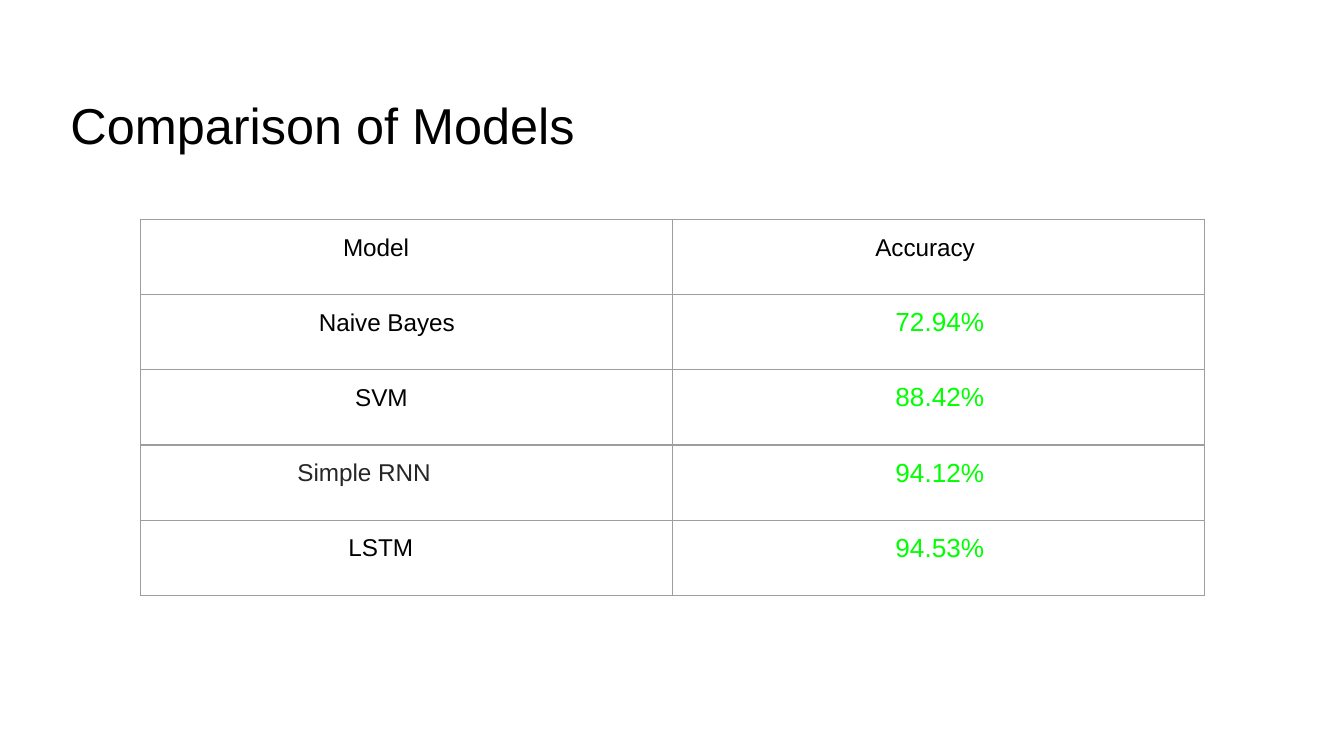
from dataclasses import dataclass

from lxml.etree import SubElement
from pptx import Presentation
from pptx.dml.color import RGBColor
from pptx.enum.text import MSO_ANCHOR, MSO_AUTO_SIZE, PP_ALIGN
from pptx.oxml.ns import qn
from pptx.util import Inches, Pt


@dataclass(frozen=True)
class Theme:
    font: str = "Arial"
    background: str = "FFFFFF"
    ink: str = "000000"
    soft_ink: str = "262626"
    score: str = "00FF00"
    border: str = "9E9E9E"
    title_size: int = 27
    label_size: int = 13
    score_size: int = 14
    border_width: float = 0.75


THEME = Theme()
WIDTH = Inches(10)
HEIGHT = WIDTH * 9 // 16
GRID_COLUMNS, GRID_ROWS = 100, 56.25
INSET = Inches(0.1)
# A smaller label sits slightly lower, level with the scores beside it.
LABEL_TOP = Inches(0.11)
HEADER_INDENT = 1.41
SCORE_INDENT = 1.56

# Model, its indent in inches, its colour, accuracy
RESULTS = [
    ("Naive Bayes", 1.23, THEME.ink, "72.94%"),
    ("SVM", 1.5, THEME.ink, "88.42%"),
    ("Simple RNN", 1.07, THEME.soft_ink, "94.12%"),
    ("LSTM", 1.45, THEME.ink, "94.53%"),
]


def grid_box(column, row, columns, rows):
    """Turn grid units into left, top, width and height."""
    across, down = WIDTH / GRID_COLUMNS, HEIGHT / GRID_ROWS
    return (round(column * across), round(row * down),
            round(columns * across), round(rows * down))


def add_run(paragraph, text, size, color):
    run = paragraph.add_run()
    run.text = text
    run.font.name = THEME.font
    run.font.size = Pt(size)
    run.font.bold = False
    run.font.color.rgb = RGBColor.from_string(color)


def set_borders(cell):
    properties = cell._tc.get_or_add_tcPr()
    for position, side in enumerate(("lnL", "lnR", "lnT", "lnB")):
        line = properties.makeelement(
            qn(f"a:{side}"), {"w": str(Pt(THEME.border_width))})
        fill = SubElement(line, qn("a:solidFill"))
        SubElement(fill, qn("a:srgbClr"), val=THEME.border)
        properties.insert(position, line)


def fill_cell(cell, text, indent, size, color):
    cell.margin_left = cell.margin_right = cell.margin_bottom = INSET
    cell.margin_top = LABEL_TOP if size == THEME.label_size else INSET
    cell.vertical_anchor = MSO_ANCHOR.TOP
    cell.fill.background()
    set_borders(cell)
    paragraph = cell.text_frame.paragraphs[0]
    paragraph.alignment = PP_ALIGN.LEFT
    properties = paragraph._p.get_or_add_pPr()
    properties.set("marL", str(Inches(indent)))
    properties.set("indent", "0")
    add_run(paragraph, text, size, color)


def place_title(slide, box, text):
    title = slide.shapes.title
    title.left, title.top, title.width, title.height = box
    frame = title.text_frame
    frame.auto_size = MSO_AUTO_SIZE.NONE
    frame.word_wrap = True
    frame.vertical_anchor = MSO_ANCHOR.BOTTOM
    frame.margin_left = frame.margin_right = INSET
    frame.margin_top = frame.margin_bottom = INSET
    paragraph = frame.paragraphs[0]
    paragraph.alignment = PP_ALIGN.LEFT
    add_run(paragraph, text, THEME.title_size, THEME.ink)


def place_accuracy_table(slide, box):
    table = slide.shapes.add_table(len(RESULTS) + 1, 2, *box).table
    table.first_row = table.horz_banding = False
    for column, heading in enumerate(("Model", "Accuracy")):
        fill_cell(table.cell(0, column), heading, HEADER_INDENT,
                  THEME.label_size, THEME.ink)
    for row, (model, indent, color, accuracy) in enumerate(RESULTS, start=1):
        fill_cell(table.cell(row, 0), model, indent, THEME.label_size, color)
        fill_cell(table.cell(row, 1), accuracy, SCORE_INDENT,
                  THEME.score_size, THEME.score)


def main():
    deck = Presentation()
    deck.slide_width, deck.slide_height = WIDTH, HEIGHT
    slide = deck.slides.add_slide(deck.slide_layouts.get_by_name("Title Only"))
    background = slide.background.fill
    background.solid()
    background.fore_color.rgb = RGBColor.from_string(THEME.background)
    place_title(slide, grid_box(4.24, 5, 91.5, 7.5), "Comparison of Models")
    place_accuracy_table(slide, grid_box(10.43, 16.32, 79.2, 28))
    deck.save("out.pptx")


if __name__ == "__main__":
    main()
